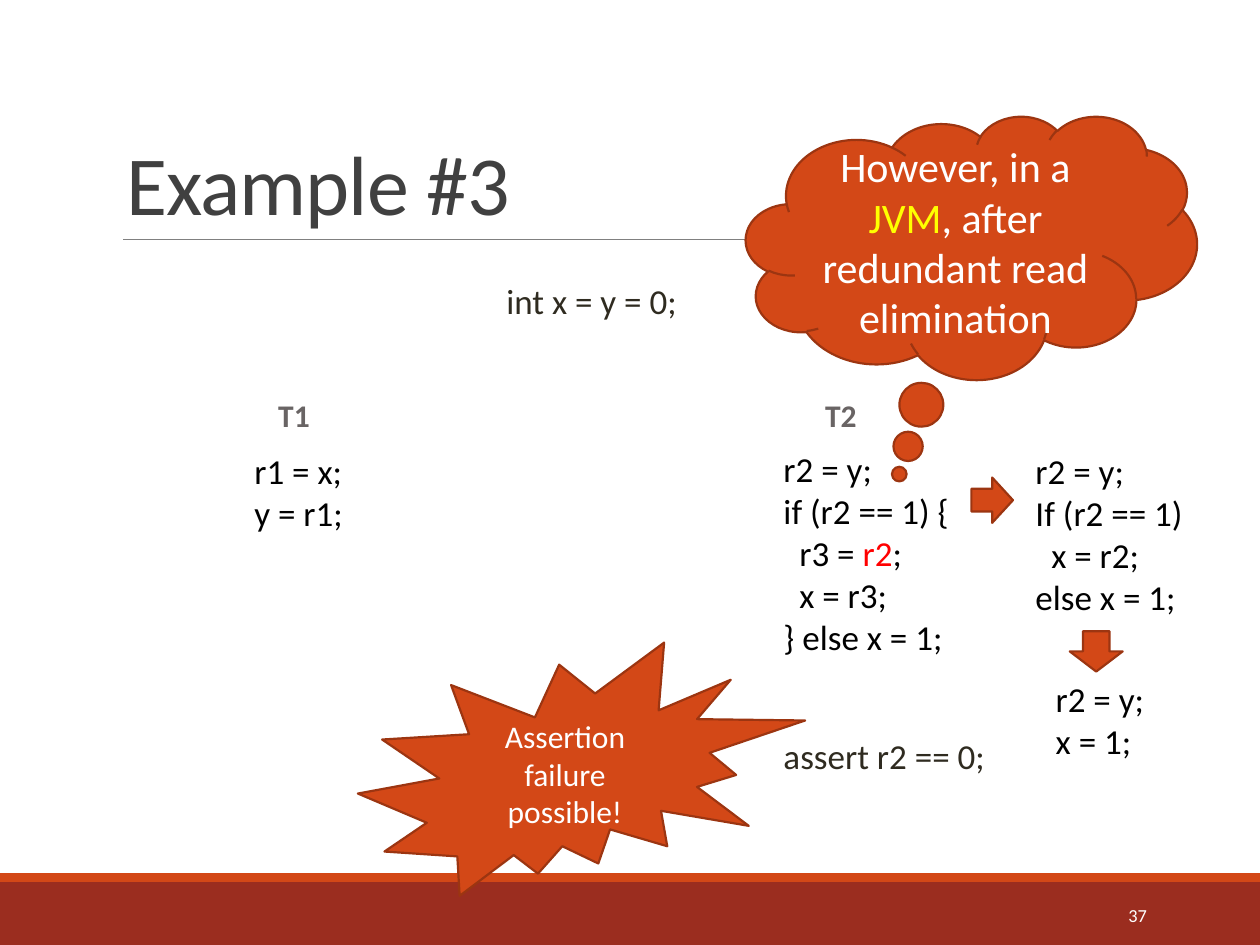
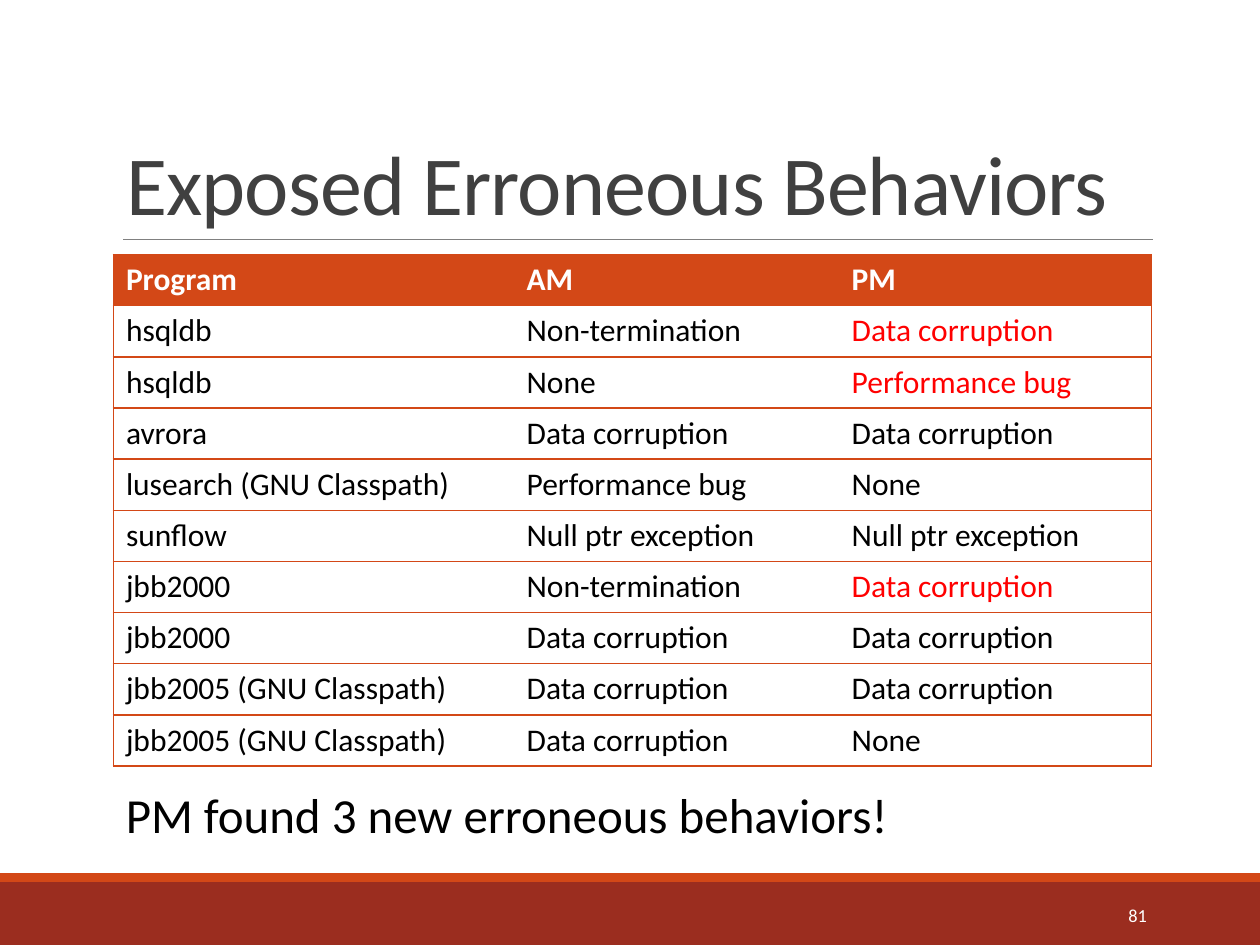
from dataclasses import dataclass
from typing import NamedTuple

from lxml.etree import SubElement
from pptx import Presentation
from pptx.dml.color import RGBColor
from pptx.enum.shapes import MSO_CONNECTOR as Connector, MSO_SHAPE as Shape
from pptx.enum.text import MSO_ANCHOR as Anchor, MSO_AUTO_SIZE as AutoSize, PP_ALIGN as Align
from pptx.oxml import parse_xml
from pptx.oxml.ns import nsdecls, qn
from pptx.util import Inches, Pt

ORANGE = RGBColor(0xD3, 0x48, 0x17)
BRICK = RGBColor(0x9B, 0x2D, 0x1F)
OUTLINE = RGBColor(0x9C, 0x35, 0x11)
RULE_GRAY = RGBColor(0x80, 0x80, 0x80)
TITLE_GRAY = RGBColor(0x40, 0x40, 0x40)
THREAD_GRAY = RGBColor(0x69, 0x64, 0x64)
DARK = RGBColor(0x2F, 0x2B, 0x20)
BLACK = RGBColor(0x00, 0x00, 0x00)
WHITE = RGBColor(0xFF, 0xFF, 0xFF)
RED = RGBColor(0xFF, 0x00, 0x00)
YELLOW = RGBColor(0xFF, 0xFF, 0x00)
FONT = "Calibri"


class Area(NamedTuple):
    left: float
    top: float
    width: float
    height: float

    def lengths(self) -> list:
        return [Inches(value) for value in self]


class Span(NamedTuple):
    text: str
    color: RGBColor | None = None


@dataclass
class Label:
    area: Area
    lines: list[list[Span]]
    size: float = 20
    color: RGBColor = BLACK
    bold: bool = False
    align: Align = Align.LEFT
    anchor: Anchor = Anchor.TOP


@dataclass
class Figure:
    kind: Shape
    area: Area
    spans: list[Span]
    size: float = 18
    adjustments: tuple[float, ...] = ()


def plain(*lines: str) -> list[list[Span]]:
    return [[Span(line)] for line in lines]


def apply(target, values: dict) -> None:
    for name, value in values.items():
        setattr(target, name, value)


# Text
def write(frame, lines: list[list[Span]], size: float, color: RGBColor,
          bold: bool = False, align: Align = Align.LEFT) -> None:
    for index, spans in enumerate(lines):
        para = frame.add_paragraph() if index else frame.paragraphs[0]
        para.alignment = align
        for span in spans:
            run = para.add_run()
            run.text = span.text
            apply(run.font, {"name": FONT, "size": Pt(size), "bold": bold})
            run.font.color.rgb = span.color or color


def add_label(page, label: Label) -> None:
    frame = page.shapes.add_textbox(*label.area.lengths()).text_frame
    apply(frame, {"word_wrap": True, "vertical_anchor": label.anchor})
    write(frame, label.lines, label.size, label.color, label.bold, label.align)


# Shapes
def add_filled(page, kind: Shape, area: Area, fill: RGBColor, line: RGBColor | None = None):
    shape = page.shapes.add_shape(kind, *area.lengths())
    shape.shadow.inherit = False
    shape.fill.solid()
    shape.fill.fore_color.rgb = fill
    if line is None:
        shape.line.fill.background()
    else:
        shape.line.color.rgb = line
        shape.line.width = Pt(1.25)
    return shape


def add_figure(page, figure: Figure) -> None:
    shape = add_filled(page, figure.kind, figure.area, ORANGE, OUTLINE)
    for index, value in enumerate(figure.adjustments):
        shape.adjustments[index] = value
    if figure.spans:
        apply(shape.text_frame, {"word_wrap": True, "vertical_anchor": Anchor.MIDDLE})
        write(shape.text_frame, [figure.spans], figure.size, WHITE, align=Align.CENTER)


# Shared title, rule, bands and page number
def add_page(deck, title: str, number: int):
    page = deck.slides.add_slide(deck.slide_layouts[5])
    add_filled(page, Shape.RECTANGLE, Area(0, 7, 10, 0.5), BRICK)
    add_filled(page, Shape.RECTANGLE, Area(0, 6.93, 10, 0.07), ORANGE)

    rule = page.shapes.add_connector(
        Connector.STRAIGHT, Inches(0.98), Inches(1.9), Inches(9.15), Inches(1.9))
    rule.line.color.rgb = RULE_GRAY
    rule.line.width = Pt(0.5)
    SubElement(rule._element.spPr, qn("a:effectLst"))

    box = page.shapes.title
    area = Area(0.9, 0.31, 8.25, 1.59).lengths()
    apply(box, dict(zip(("left", "top", "width", "height"), area)))
    apply(box.text_frame, {"word_wrap": True, "vertical_anchor": Anchor.BOTTOM,
                           "auto_size": AutoSize.NONE})
    write(box.text_frame, plain(title), 48, TITLE_GRAY)
    para = box.text_frame.paragraphs[0]
    para.line_spacing = 0.85
    para.runs[0].font._element.set("spc", "-50")

    add_label(page, Label(Area(8.12, 7.06, 1.08, 0.4), plain(str(number)), 10.5,
                          WHITE, align=Align.RIGHT, anchor=Anchor.MIDDLE))
    return page


# Table
def set_borders(cell, sides: str) -> None:
    properties = cell._tc.get_or_add_tcPr()
    for index, side in enumerate("LRTB"):
        paint = (f'<a:solidFill><a:srgbClr val="{ORANGE}"/></a:solidFill>'
                 if side in sides else "<a:noFill/>")
        properties.insert(index, parse_xml(
            f'<a:ln{side} {nsdecls("a")} w="12700">{paint}</a:ln{side}>'))


def add_grid(page, area: Area, widths: list[float], rows: list[tuple[str, ...]],
             red_cells: set[tuple[int, int]]) -> None:
    table = page.shapes.add_table(len(rows), len(widths), *area.lengths()).table
    table.horz_banding = False
    for column, width in zip(table.columns, widths):
        column.width = Inches(width)
    for row, texts in enumerate(rows):
        header = row == 0
        for column, text in enumerate(texts):
            cell = table.cell(row, column)
            if header:
                cell.fill.solid()
                cell.fill.fore_color.rgb = ORANGE
            else:
                cell.fill.background()
            outer = {0: "L", len(widths) - 1: "R"}.get(column, "")
            set_borders(cell, "TB" + outer)
            body_color = RED if (row, column) in red_cells else BLACK
            write(cell.text_frame, plain(text), 18, WHITE if header else body_color, header)


# Slide content
EXAMPLE_LABELS = [
    Label(Area(1.92, 3.52, 0.99, 0.77), plain("r1 = x;", "y = r1;")),
    Label(Area(2.11, 3.09, 0.53, 0.4), plain("T1"), 18, THREAD_GRAY, True),
    Label(Area(6.45, 3.09, 0.52, 0.4), plain("T2"), 18, THREAD_GRAY, True),
    Label(Area(6.12, 3.5, 2.04, 1.78), [
        *plain("r2 = y;", "if (r2 == 1) {"),
        [Span("  r3 = "), Span("r2", RED), Span(";")],
        *plain("  x = r3;", "} else x = 1;"),
    ]),
    Label(Area(6.12, 5.78, 2, 0.44), plain("assert r2 == 0;"), color=DARK),
    Label(Area(3.92, 2.17, 1.67, 0.44), plain("int x = y = 0;"), color=DARK),
    Label(Area(8.28, 5.33, 0.95, 0.77), plain("r2 = y;", "x = 1;")),
    Label(Area(8.12, 3.52, 1.53, 1.45),
          plain("r2 = y;", "If (r2 == 1)", "  x = r2;", "else x = 1;")),
]
EXAMPLE_FIGURES = [
    Figure(Shape.CLOUD_CALLOUT, Area(5.92, 0.92, 3.58, 2.09),
           [Span("However, in a "), Span("JVM", YELLOW),
            Span(", after redundant read elimination")], 24, (-0.16, 0.86)),
    Figure(Shape.RIGHT_ARROW, Area(7.71, 3.79, 0.33, 0.36), []),
    Figure(Shape.DOWN_ARROW, Area(8.49, 5.01, 0.42, 0.32), []),
    Figure(Shape.EXPLOSION2, Area(2.84, 5.1, 3.55, 2.01),
           [Span("Assertion failure possible!")]),
]
BEHAVIORS = [
    ("Program", "AM", "PM"),
    ("hsqldb", "Non-termination", "Data corruption"),
    ("hsqldb", "None", "Performance bug"),
    ("avrora", "Data corruption", "Data corruption"),
    ("lusearch (GNU Classpath)", "Performance bug", "None"),
    ("sunflow", "Null ptr exception", "Null ptr exception"),
    ("jbb2000", "Non-termination", "Data corruption"),
    ("jbb2000", "Data corruption", "Data corruption"),
    ("jbb2005 (GNU Classpath)", "Data corruption", "Data corruption"),
    ("jbb2005 (GNU Classpath)", "Data corruption", "None"),
]
NEW_BEHAVIORS = {(1, 2), (2, 2), (6, 2)}


def main() -> None:
    deck = Presentation()
    apply(deck, {"slide_width": Inches(10), "slide_height": Inches(7.5)})

    # Example with two threads
    example = add_page(deck, "Example #3", 37)
    for label in EXAMPLE_LABELS:
        add_label(example, label)
    for figure in EXAMPLE_FIGURES:
        add_figure(example, figure)

    # Table of behaviors
    behaviors = add_page(deck, "Exposed Erroneous Behaviors", 81)
    add_label(behaviors, Label(Area(0.9, 6.18, 6.95, 0.57),
                               plain("PM found 3 new erroneous behaviors!"), 28))
    add_grid(behaviors, Area(0.9, 2.02, 8.25, 4.06), [3.18, 2.58, 2.48],
             BEHAVIORS, NEW_BEHAVIORS)

    deck.save("out.pptx")


if __name__ == "__main__":
    main()
